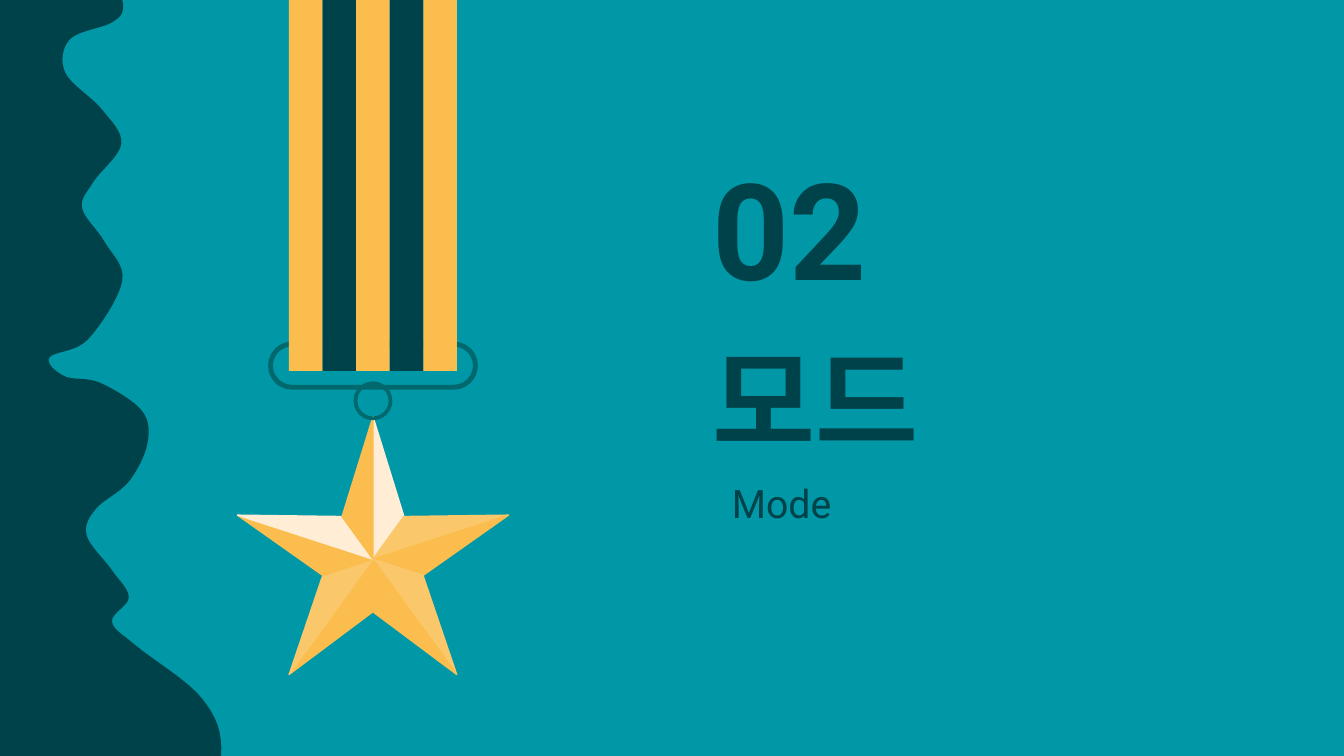
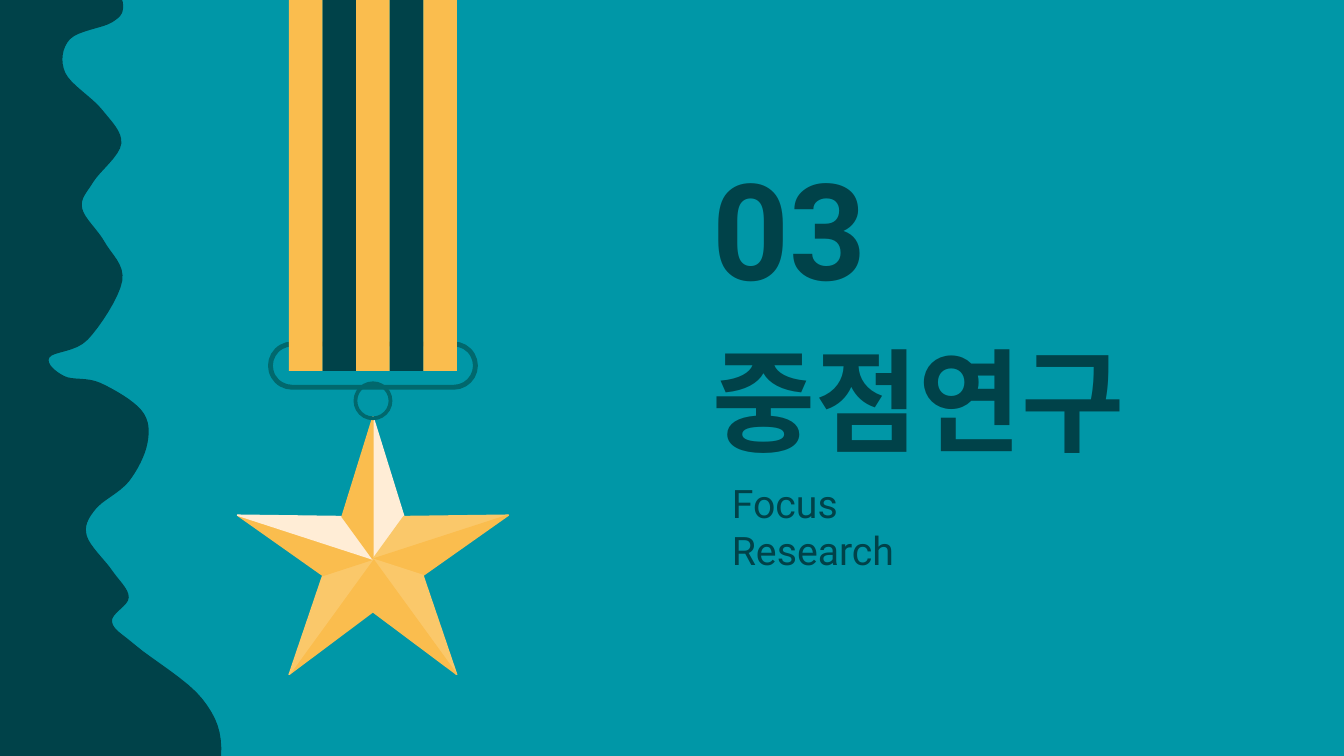
import math

from lxml import etree
from pptx import Presentation
from pptx.dml.color import RGBColor
from pptx.enum.shapes import MSO_SHAPE
from pptx.enum.text import MSO_ANCHOR, MSO_AUTO_SIZE, PP_ALIGN
from pptx.oxml.ns import qn
from pptx.util import Pt

RECTANGLE, PILL = MSO_SHAPE.RECTANGLE, MSO_SHAPE.ROUNDED_RECTANGLE
TOP, BOTTOM = MSO_ANCHOR.TOP, MSO_ANCHOR.BOTTOM
LEFT = PP_ALIGN.LEFT
NO_AUTOFIT = MSO_AUTO_SIZE.NONE

TEAL = RGBColor(0x00, 0x97, 0xA7)
DARK = RGBColor(0x00, 0x42, 0x49)
METAL = RGBColor(0x01, 0x68, 0x6D)
GOLD = RGBColor(0xFA, 0xBD, 0x4E)
LIGHT_GOLD = RGBColor(0xFA, 0xC8, 0x6A)
CREAM = RGBColor(0xFF, 0xED, 0xD6)

LATIN, KOREAN = "Roboto", "Noto Sans CJK KR"
TITLE_ONLY = 5
PADDING = Pt(7.2)

# The shore runs down the left edge through these points.
SHORE = [(60, -13.5), (66, 3), (60, 12), (37.5, 21), (35, 39), (54.5, 58.5),
         (65, 77), (50, 97.5), (44, 111.5), (56, 129.5), (65.5, 150.5),
         (47, 182), (26.5, 191.5), (34.5, 201.5), (53.5, 205), (76, 220),
         (79, 237.5), (69, 258), (51, 273), (46.5, 287), (60, 305.5),
         (69, 320), (60, 333), (73, 346), (108.5, 374.5), (118.5, 405),
         (105, 453.5)]
SHORE_BACK = -118
STEPS_PER_BEND = 8

RIBBON_LEFT, RIBBON_TOP, RIBBON_BOTTOM = 154.8, -50.4, 198.7
RIBBON_HEIGHT = RIBBON_BOTTOM - RIBBON_TOP
STRIPE_WIDTH, STRIPE_COUNT = 18, 5
MEDAL_CENTRE = RIBBON_LEFT + STRIPE_WIDTH * STRIPE_COUNT / 2

STAR_MIDDLE = 299.6
TIP_RADIUS, NOTCH_RADIUS = 76.3, 28.2
# Facets run clockwise from the right half of the top ray.
FACET_COLOURS = [CREAM, LIGHT_GOLD, GOLD, LIGHT_GOLD, GOLD,
                 GOLD, LIGHT_GOLD, GOLD, CREAM, GOLD]

SECTIONS = [
    ("02", "모드", "Mode", 112),
    ("03", "중점연구", "Focus Research", 147),
]


def smooth(points):
    """Return a Catmull-Rom curve through the points, as many short steps."""
    padded = [points[0], *points, points[-1]]
    curve = []
    for before, start, end, after in zip(padded, padded[1:], padded[2:], padded[3:]):
        for step in range(STEPS_PER_BEND):
            t = step / STEPS_PER_BEND
            curve.append(tuple(
                b + t / 2 * (c - a + t * (2 * a - 5 * b + 4 * c - d
                                          + t * (3 * b - 3 * c + d - a)))
                for a, b, c, d in zip(before, start, end, after)))
    return curve + [points[-1]]


def star_rim():
    """Return tips and notches in turn, clockwise from the top tip."""
    rim = []
    for corner in range(10):
        radius = NOTCH_RADIUS if corner % 2 else TIP_RADIUS
        angle = math.radians(36 * corner)
        rim.append((MEDAL_CENTRE + radius * math.sin(angle),
                    STAR_MIDDLE - radius * math.cos(angle)))
    return rim


def write_text(box, text, *, size, font=LATIN, bold=False, anchor=TOP):
    frame = box.text_frame
    frame.word_wrap = True
    frame.auto_size = NO_AUTOFIT
    frame.vertical_anchor = anchor
    frame.margin_left = frame.margin_right = PADDING
    frame.margin_top = frame.margin_bottom = PADDING
    paragraph = frame.paragraphs[0]
    paragraph.alignment = LEFT
    run = paragraph.add_run()
    run.text = text
    run.font.size = Pt(size)
    run.font.bold = bold
    run.font.color.rgb = DARK
    run.font.name = font
    # Korean letters take their typeface from a:ea, not from font.name.
    etree.SubElement(run._r.get_or_add_rPr(), qn("a:ea"), typeface=font)


class Deck:
    def __init__(self):
        self.presentation = Presentation()
        self.presentation.slide_width = Pt(720)
        self.presentation.slide_height = Pt(405)
        self.layout = self.presentation.slide_layouts[TITLE_ONLY]
        background = self.layout.background.fill
        background.solid()
        background.fore_color.rgb = TEAL

    def start_slide(self):
        self.slide = self.presentation.slides.add_slide(self.layout)
        self.canvas = self.slide.shapes

    def start_group(self):
        """Send the shapes that follow into a new group."""
        self.canvas = self.slide.shapes.add_group_shape().shapes

    def style(self, shape, fill=None, line=None, line_width=0.75):
        shape.shadow.inherit = False
        for part, colour in ((shape.fill, fill), (shape.line.fill, line)):
            if colour is None:
                part.background()
            else:
                part.solid()
                part.fore_color.rgb = colour
        if line is not None:
            shape.line.width = Pt(line_width)

    def polygon(self, points, **colours):
        corners = [(Pt(x), Pt(y)) for x, y in points]
        builder = self.canvas.build_freeform(*corners[0])
        builder.add_line_segments(corners[1:], close=True)
        self.style(builder.convert_to_shape(), **colours)

    def rectangle(self, left, top, width, height, colour):
        bar = self.canvas.add_shape(RECTANGLE, Pt(left), Pt(top), Pt(width), Pt(height))
        self.style(bar, fill=colour)

    def wire(self, top, width, height, thickness):
        """Bend a wire into a round-ended loop, centred on the medal."""
        loop = self.canvas.add_shape(PILL, Pt(MEDAL_CENTRE - width / 2), Pt(top),
                                     Pt(width), Pt(height))
        loop.adjustments[0] = 0.5
        self.style(loop, line=METAL, line_width=thickness)

    def title(self, text, left, top, width, height, **text_format):
        box = self.slide.shapes.title
        box.left, box.top, box.width, box.height = map(Pt, (left, top, width, height))
        write_text(box, text, **text_format)

    def text(self, text, left, top, width, height, **text_format):
        box = self.slide.shapes.add_textbox(Pt(left), Pt(top), Pt(width), Pt(height))
        write_text(box, text, **text_format)

    def shore(self):
        first_y, last_y = SHORE[0][1], SHORE[-1][1]
        back = [(SHORE_BACK, last_y), (SHORE_BACK, first_y)]
        self.polygon(smooth(SHORE) + back, fill=DARK)

    def star(self):
        rim = star_rim()
        following = rim[1:] + rim[:1]
        for start, end, colour in zip(rim, following, FACET_COLOURS):
            facet = [(MEDAL_CENTRE, STAR_MIDDLE), start, end]
            self.polygon(facet, fill=colour, line=colour)

    def ribbon(self):
        for stripe in range(STRIPE_COUNT):
            self.rectangle(RIBBON_LEFT + STRIPE_WIDTH * stripe, RIBBON_TOP,
                           STRIPE_WIDTH, RIBBON_HEIGHT, DARK if stripe % 2 else GOLD)

    def medal(self):
        self.start_group()
        self.star()
        self.wire(top=205.3, width=18.8, height=18.8, thickness=2)
        self.wire(top=184.3, width=109.8, height=23.2, thickness=2.6)
        self.ribbon()


def main():
    deck = Deck()
    for number, heading, english, english_width in SECTIONS:
        deck.start_slide()
        deck.shore()
        deck.title(heading, 374.4, 190.8, 318, 66.2,
                   size=60, font=KOREAN, bold=True, anchor=BOTTOM)
        deck.text(english, 385, 249.6, english_width, 38.9, size=21)
        deck.text(number, 374.4, 105.8, 345, 66.2, size=72, bold=True, anchor=BOTTOM)
        deck.medal()
    deck.presentation.save("out.pptx")


if __name__ == "__main__":
    main()
